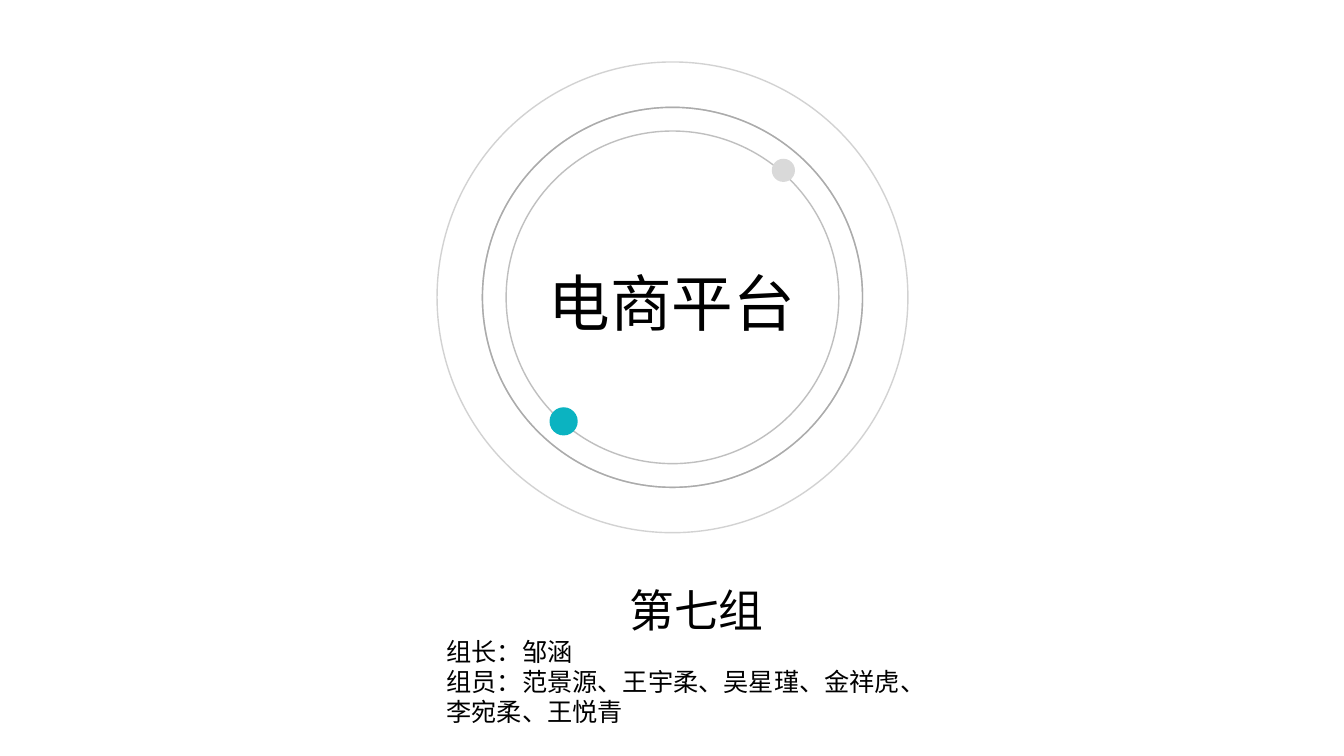
from lxml import etree
from pptx import Presentation
from pptx.dml.color import RGBColor
from pptx.enum.shapes import MSO_SHAPE
from pptx.enum.text import MSO_ANCHOR, PP_ALIGN
from pptx.oxml.ns import qn
from pptx.util import Inches, Pt

OVAL = MSO_SHAPE.OVAL
MIDDLE = MSO_ANCHOR.MIDDLE
LEFT, CENTER = PP_ALIGN.LEFT, PP_ALIGN.CENTER
FONT = "Noto Sans CJK SC"
CENTER_X, CENTER_Y = 6.67, 2.95


def color(hex_string):
    """Turn a hex string into a colour."""
    return RGBColor.from_string(hex_string)


class CoverSlide:
    """Holds the style and the slide, and adds its elements."""

    def __init__(self, deck):
        """Start a title-only slide."""
        self.page = deck.slides.add_slide(deck.slide_layouts[5])

    def circle(self, x, y, diameter):
        """Add a plain circle around a centre point."""
        oval = self.page.shapes.add_shape(
            OVAL, Inches(x - diameter / 2), Inches(y - diameter / 2),
            Inches(diameter), Inches(diameter))
        oval.shadow.inherit = False
        return oval

    def ring(self, diameter, line_color, opacity):
        """Add an unfilled ring around the title."""
        oval = self.circle(CENTER_X, CENTER_Y, diameter)
        oval.fill.background()
        oval.line.color.rgb = color(line_color)
        oval.line.width = Pt(1)
        if opacity < 100:
            tint = oval.element.spPr.find(".//" + qn("a:srgbClr"))
            etree.SubElement(tint, qn("a:alpha"), val=str(opacity * 1000))

    def dot(self, x, y, diameter, fill_color):
        """Add a filled dot."""
        oval = self.circle(x, y, diameter)
        oval.fill.solid()
        oval.fill.fore_color.rgb = color(fill_color)
        oval.line.fill.background()

    def set_paragraph(self, para, text, size, align):
        """Fill and format one paragraph."""
        para.text = text
        para.alignment = align
        para.font.size = Pt(size)
        para.font.color.rgb = color("000000")
        para.font.name = FONT
        style = para._p.pPr.find(qn("a:defRPr"))
        etree.SubElement(style, qn("a:ea"), typeface=FONT)

    def title(self, text, left, top, width, height):
        """Place and format the title."""
        box = self.page.shapes.title
        box.left, box.top = Inches(left), Inches(top)
        box.width, box.height = Inches(width), Inches(height)
        box.text_frame.vertical_anchor = MIDDLE
        self.set_paragraph(box.text_frame.paragraphs[0], text, 44, CENTER)

    def text(self, lines, left, top, width, height):
        """Add a text box with one paragraph for each line."""
        box = self.page.shapes.add_textbox(
            Inches(left), Inches(top), Inches(width), Inches(height))
        frame = box.text_frame
        frame.word_wrap = True
        for index, line in enumerate(lines):
            para = frame.add_paragraph() if index else frame.paragraphs[0]
            self.set_paragraph(para, *line)


def main():
    """Build the cover slide."""
    deck = Presentation()
    deck.slide_width, deck.slide_height = Inches(13.33), Inches(7.5)
    cover = CoverSlide(deck)
    for ring in [(3.3, "BFBFBF", 100), (3.77, "A6A6A6", 70),
                 (3.77, "A6A6A6", 80), (4.67, "A6A6A6", 50)]:
        cover.ring(*ring)
    cover.dot(5.59, 4.18, 0.28, "0BB3C1")
    cover.dot(7.77, 1.69, 0.23, "D9D9D9")
    cover.title("电商平台", 4.78, 2.49, 3.77, 1)
    cover.text([
        ("第七组", 32, CENTER),
        ("组长：邹涵", 18, LEFT),
        ("组员：范景源、王宇柔、吴星瑾、金祥虎、李宛柔、王悦青", 18, LEFT),
    ], 4.33, 5.73, 5.16, 1.55)
    deck.save("out.pptx")


if __name__ == "__main__":
    main()
